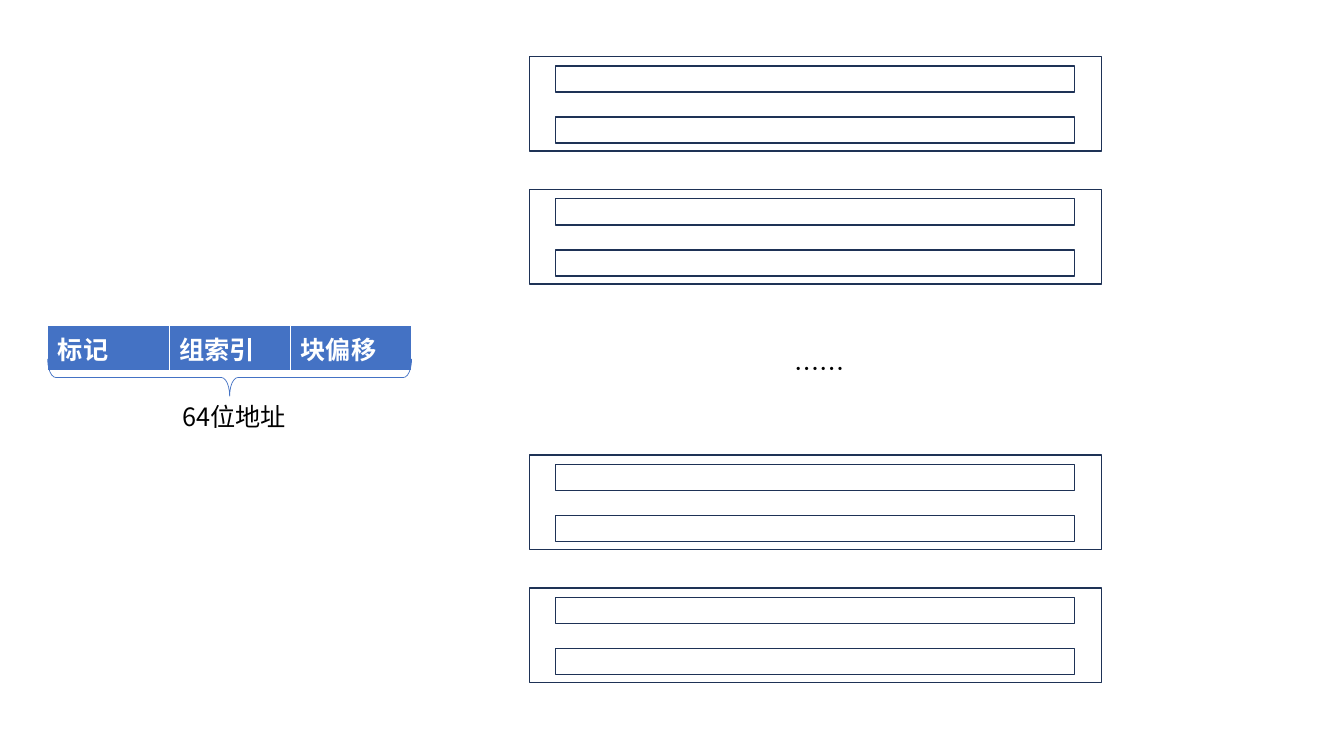
from lxml import etree
from pptx import Presentation
from pptx.dml.color import RGBColor
from pptx.enum.shapes import MSO_SHAPE as Shape
from pptx.enum.text import MSO_AUTO_SIZE as AutoSize
from pptx.oxml import parse_xml
from pptx.oxml.ns import nsdecls, qn
from pptx.util import Pt

FONT = "Noto Sans CJK SC"
BLUE = RGBColor(0x44, 0x72, 0xC4)
NAVY = RGBColor(0x1E, 0x32, 0x56)
WHITE = RGBColor(0xFF, 0xFF, 0xFF)
BLACK = RGBColor(0, 0, 0)

ADDRESS_FIELDS = ["标记", "组索引", "块偏移"]
SET_SLOTS = [0, 1, 3, 4]  # slot 2 holds the ellipsis
SET_LEFT, SET_TOP, SET_WIDTH, SET_HEIGHT, SET_STEP = 378, 40.3, 409, 67.7, 94.9
LINE_INSET, LINE_WIDTH, LINE_HEIGHT, LINE_STEP = 18.9, 370.8, 18.7, 36.5


def write(tf, text, **formats):
    r = tf.paragraphs[0].add_run()
    r.text = text
    for name, value in {"size": Pt(18), "name": FONT, **formats}.items():
        if name == "color":
            r.font.color.rgb = value
        else:
            setattr(r.font, name, value)
    etree.SubElement(r.font._element, qn("a:ea"), typeface=FONT)


def add_outline(s, kind, left, top, width, height, color, weight):
    sp = s.shapes.add_shape(kind, Pt(left), Pt(top), Pt(width), Pt(height))
    sp.shadow.inherit = False
    sp.fill.background()
    sp.line.color.rgb = color
    sp.line.width = Pt(weight)
    return sp


def add_label(s, text, left, top, width):
    sp = s.shapes.add_textbox(Pt(left), Pt(top), Pt(width), Pt(29))
    tf = sp.text_frame
    tf.word_wrap = True
    tf.auto_size = AutoSize.SHAPE_TO_FIT_TEXT
    write(tf, text, color=BLACK)


def set_borders(cell):
    for i, (side, weight) in enumerate([("L", 1), ("R", 1), ("T", 1), ("B", 3)]):
        border = parse_xml(
            f'<a:ln{side} {nsdecls("a")} w="{Pt(weight)}"><a:solidFill>'
            f'<a:srgbClr val="{WHITE}"/></a:solidFill></a:ln{side}>')
        cell._tc.get_or_add_tcPr().insert(i, border)


def add_address_table(s):
    count = len(ADDRESS_FIELDS)
    table = s.shapes.add_table(1, count, Pt(34.2), Pt(232.1), Pt(260), Pt(29.2)).table
    for cell, field in zip(table.rows[0].cells, ADDRESS_FIELDS):
        cell.fill.solid()
        cell.fill.fore_color.rgb = BLUE
        set_borders(cell)
        write(cell.text_frame, field, bold=True, color=WHITE)


def add_cache_set(s, slot):
    top = SET_TOP + slot * SET_STEP
    add_outline(s, Shape.RECTANGLE, SET_LEFT, top, SET_WIDTH, SET_HEIGHT, NAVY, 1)
    for line in range(2):
        add_outline(s, Shape.RECTANGLE, SET_LEFT + LINE_INSET,
                    top + 6.8 + line * LINE_STEP, LINE_WIDTH, LINE_HEIGHT, NAVY, 1)


def main():
    prs = Presentation()
    prs.slide_width, prs.slide_height = Pt(960), Pt(540)
    s = prs.slides.add_slide(prs.slide_layouts[6])

    # Address layout
    add_address_table(s)
    brace = add_outline(s, Shape.RIGHT_BRACE, 150.7, 139.7, 26.6, 260, BLUE, 0.5)
    brace.rotation = 90
    brace.adjustments[0] = 0.22
    add_label(s, "64位地址", 123.1, 283, 113.8)

    # Cache sets
    for slot in SET_SLOTS:
        add_cache_set(s, slot)
    add_label(s, "……", 560.2, 249.1, 105.8)

    prs.save("out.pptx")


if __name__ == "__main__":
    main()
